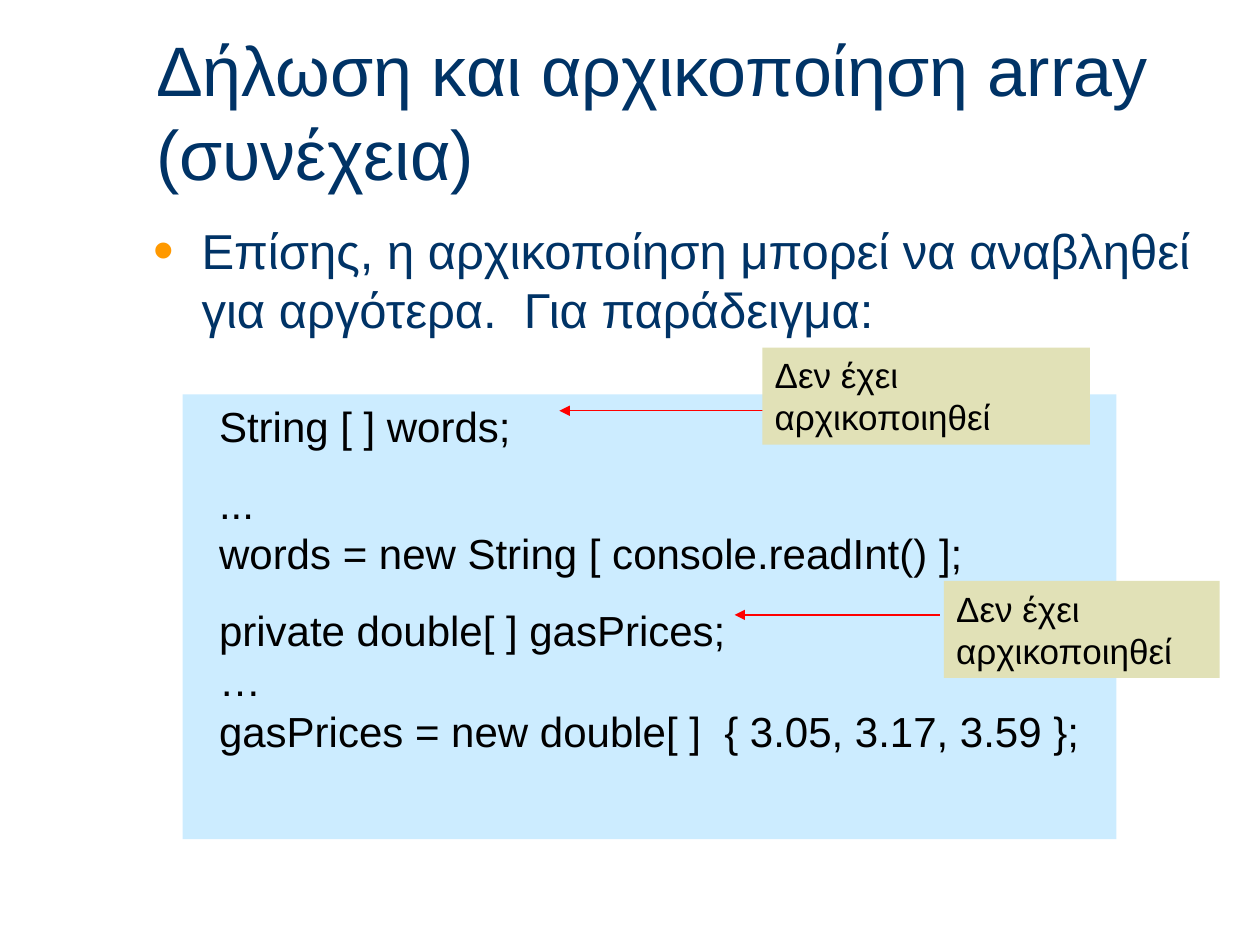
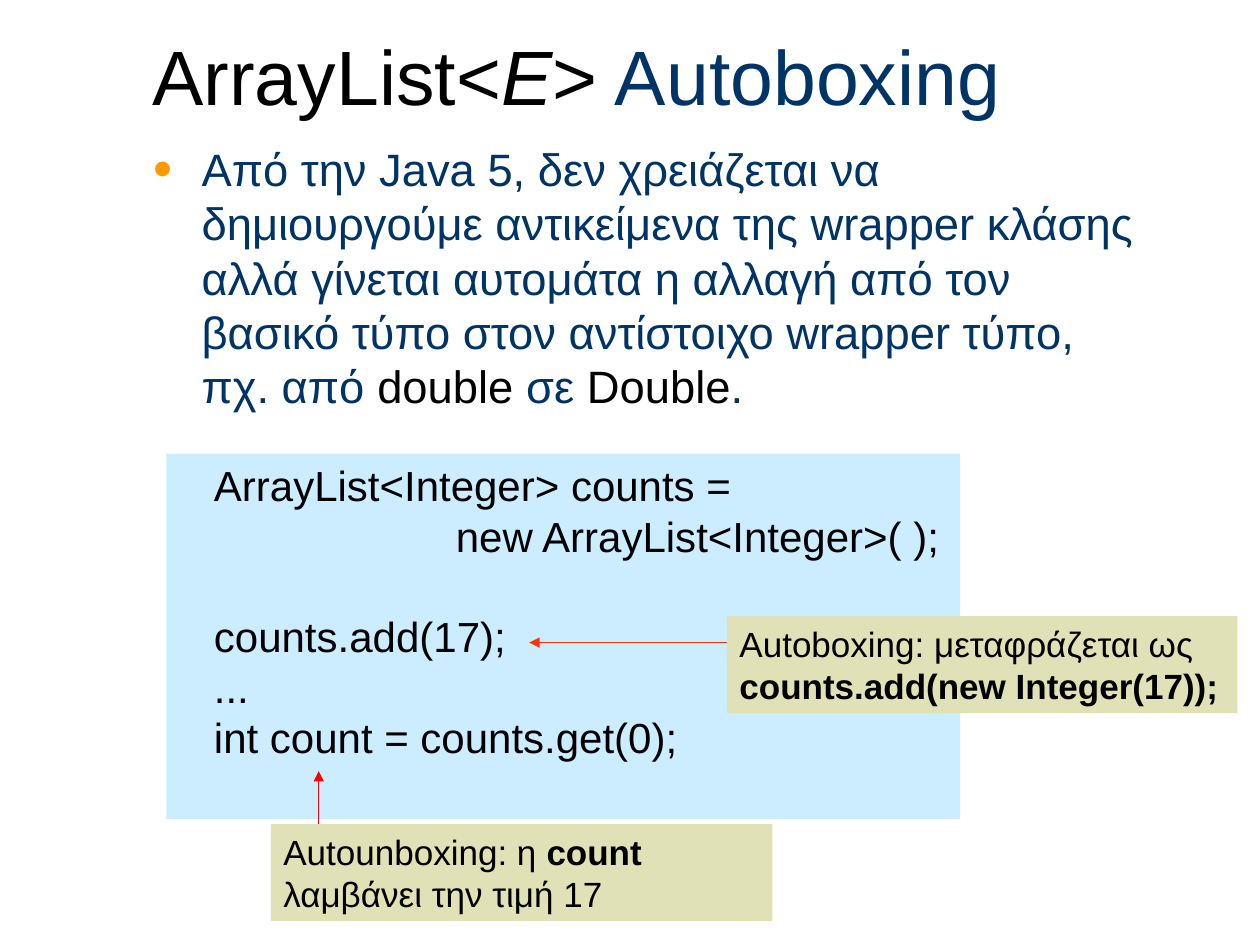
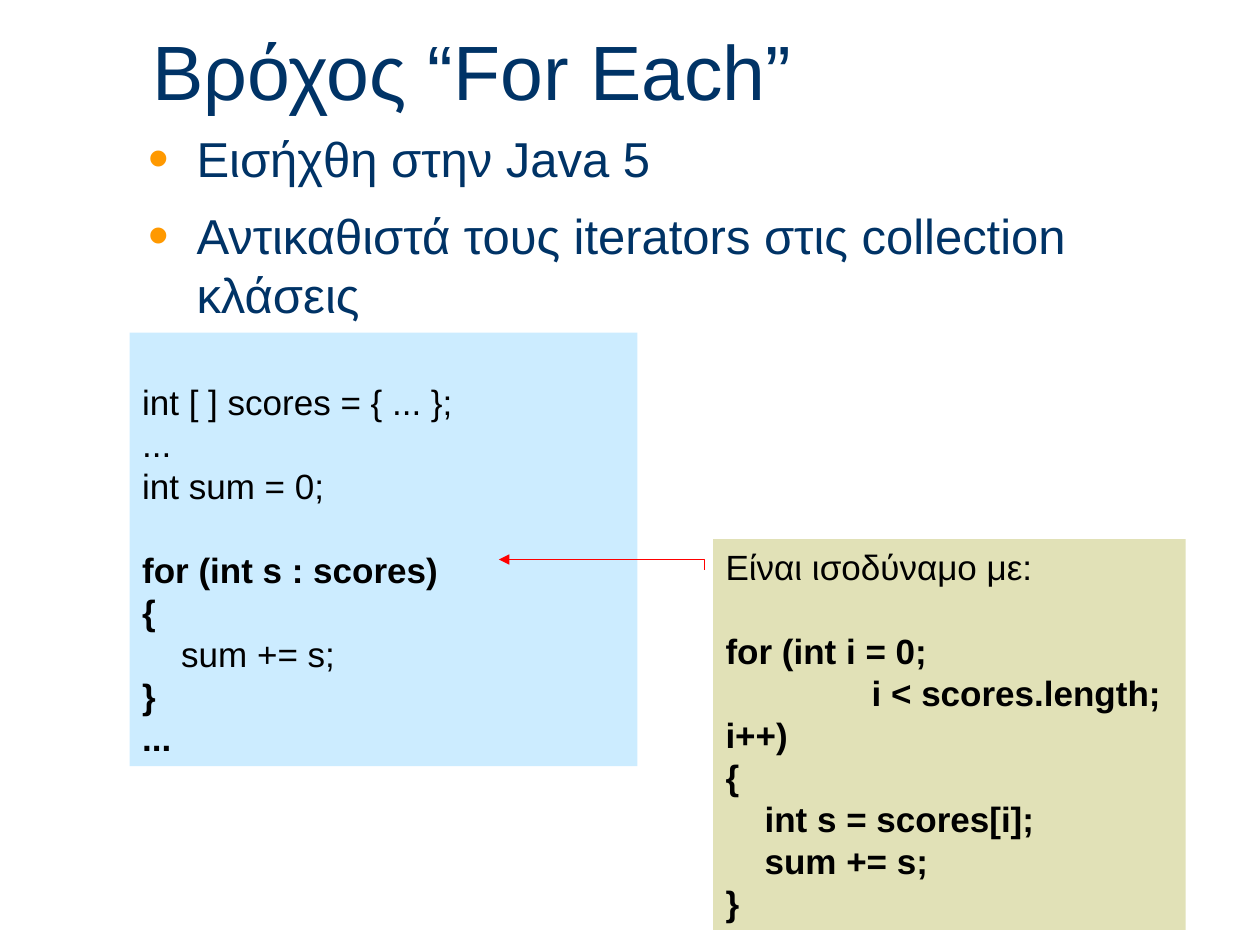
from dataclasses import dataclass

from lxml import etree
from pptx import Presentation
from pptx.dml.color import RGBColor
from pptx.enum.shapes import MSO_CONNECTOR, MSO_SHAPE
from pptx.enum.text import MSO_ANCHOR, MSO_AUTO_SIZE, PP_ALIGN
from pptx.oxml.ns import qn
from pptx.util import Inches, Pt

RECT = MSO_SHAPE.RECTANGLE
STRAIGHT = MSO_CONNECTOR.STRAIGHT
LEFT = PP_ALIGN.LEFT
TOP, MIDDLE = MSO_ANCHOR.TOP, MSO_ANCHOR.MIDDLE
NO_FIT = MSO_AUTO_SIZE.NONE


@dataclass(frozen=True)
class Theme:
    font: str = "Arial"
    navy: str = "003366"
    black: str = "000000"
    orange: str = "FF9900"
    sky: str = "CCECFF"
    sand: str = "E1E1B7"
    red: str = "FF0000"
    scarlet: str = "FF3300"
    title: float = 44
    long_title: float = 40
    body: float = 28
    dense_body: float = 25.9
    code: float = 24
    note: float = 20
    leading: float = 1.2
    hang: float = 0.38
    gap: float = 10.5
    stroke: float = 0.75


THEME = Theme()


@dataclass(frozen=True)
class Run:
    text: str
    bold: bool = False
    italic: bool = False
    color: str = ""


@dataclass(frozen=True)
class Line:
    runs: tuple
    margin: float = 0
    first: float = 0
    before: float = 0
    bold: bool = False


def line(*parts, **style):
    runs = tuple(Run(part) if isinstance(part, str) else part for part in parts)
    return Line(runs, **style)


def rgb(color):
    return RGBColor.from_string(color)


def add_tag(parent, tag, **attrs):
    return etree.SubElement(parent, qn(tag), attrs)


def write(frame, lines, size, color):
    frame.word_wrap = True
    frame.auto_size = NO_FIT
    for index, item in enumerate(lines):
        para = frame.paragraphs[0] if index == 0 else frame.add_paragraph()
        para.alignment = LEFT
        para.line_spacing = Pt(size * THEME.leading)
        para.space_before = Pt(item.before)
        font = para.font
        font.name, font.size, font.bold = THEME.font, Pt(size), item.bold
        font.color.rgb = rgb(color)
        props = para._p.get_or_add_pPr()
        props.set("marL", str(Inches(item.margin)))
        props.set("indent", str(Inches(item.first)))
        for part in item.runs:
            run = para.add_run()
            run.text = part.text
            if part.bold:
                run.font.bold = True
            if part.italic:
                run.font.italic = True
            if part.color:
                run.font.color.rgb = rgb(part.color)


def place(shape, box):
    shape.left, shape.top, shape.width, shape.height = map(Inches, box)


def add_title(slide, box, text, size=THEME.title):
    title = slide.shapes.title
    place(title, box)
    title.text_frame.vertical_anchor = MIDDLE
    write(title.text_frame, [text], size, THEME.navy)


def add_bullets(slide, box, items, size=THEME.body):
    body = slide.placeholders[1]
    place(body, box)
    lines = [
        Line(item.runs, margin=THEME.hang, first=-THEME.hang, before=THEME.gap)
        for item in items
    ]
    write(body.text_frame, lines, size, THEME.navy)
    for para in body.text_frame.paragraphs:
        props = para._p.get_or_add_pPr()
        marks = [etree.Element(qn(tag)) for tag in ("a:buClr", "a:buSzPct", "a:buChar")]
        add_tag(marks[0], "a:srgbClr", val=THEME.orange)
        marks[1].set("val", "120000")
        marks[2].set("char", "•")
        default = props.find(qn("a:defRPr"))
        for mark in marks:
            default.addprevious(mark)


def add_panel(slide, box, lines, fill, size, top=0.05):
    panel = slide.shapes.add_shape(RECT, *map(Inches, box))
    panel.shadow.inherit = False
    panel.fill.solid()
    panel.fill.fore_color.rgb = rgb(fill)
    panel.line.fill.background()
    frame = panel.text_frame
    frame.vertical_anchor = TOP
    frame.margin_top = Inches(top)
    write(frame, lines, size, THEME.black)


def add_code(slide, box, lines, size=THEME.code, top=0.05):
    add_panel(slide, box, lines, THEME.sky, size, top)


def add_note(slide, box, *lines):
    add_panel(slide, box, lines, THEME.sand, THEME.note)


def style_arrow(shape, color):
    shape.line.color.rgb = rgb(color)
    shape.line.width = Pt(THEME.stroke)
    add_tag(shape.line._get_or_add_ln(), "a:tailEnd", type="triangle")
    add_tag(shape._element.spPr, "a:effectLst")


def add_arrow(slide, start, end, color=THEME.red):
    arrow = slide.shapes.add_connector(STRAIGHT, *map(Inches, start + end))
    style_arrow(arrow, color)


def add_elbow(slide, *points):
    start, *rest = [tuple(map(Inches, point)) for point in points]
    outline = slide.shapes.build_freeform(*start)
    outline.add_line_segments(rest, close=False)
    elbow = outline.convert_to_shape()
    elbow.fill.background()
    style_arrow(elbow, THEME.red)


def build_array(slide):
    add_title(slide, (1.14, 0.29, 8.5, 1.18),
              line("Δήλωση και αρχικοποίηση array (συνέχεια)"), THEME.long_title)
    add_bullets(slide, (1.12, 1.7, 8.5, 1.19), [
        line("Επίσης, η αρχικοποίηση μπορεί να αναβληθεί για αργότερα.  Για παράδειγμα:"),
    ])
    steps = [
        ("String [ ] words;", 15),
        ("...", 15),
        ("words = new String [ console.readInt() ];", 0),
        ("private double[ ] gasPrices;", 15),
        ("…", 0),
        ("gasPrices = new double[ ]  { 3.05, 3.17, 3.59 };", 0),
    ]
    add_code(slide, (1.45, 3.13, 7.41, 3.53),
             [line(text, margin=0.19, before=gap) for text, gap in steps])
    unset = line("Δεν έχει αρχικοποιηθεί")
    add_arrow(slide, (6.71, 3.26), (4.44, 3.26))
    add_note(slide, (6.05, 2.76, 2.6, 0.77), unset)
    add_arrow(slide, (7.46, 4.88), (5.83, 4.88))
    add_note(slide, (7.49, 4.61, 2.19, 0.77), unset)


def build_boxing(slide):
    black = THEME.black
    add_title(slide, (1.11, 0.12, 8.5, 0.94), line(
        Run("ArrayList<", color=black), Run("E", italic=True, color=black),
        Run(">", color=black), " Autoboxing"))
    add_bullets(slide, (1.12, 1.07, 8.02, 2.4), [line(
        "Από την Java 5, δεν χρειάζεται να δημιουργούμε αντικείμενα της wrapper "
        "κλάσης αλλά γίνεται αυτομάτα η αλλαγή από τον βασικό τύπο στον "
        "αντίστοιχο wrapper τύπο, πχ. από ",
        Run("double", color=black), " σε ", Run("Double", color=black), ".",
    )], THEME.dense_body)
    indent = 0.28
    add_code(slide, (1.32, 3.6, 6.3, 2.9), [
        line("ArrayList<Integer> counts =", margin=indent),
        line("new ArrayList<Integer>( );", margin=2.2),
        line("counts.add(17);", margin=indent, before=THEME.code * THEME.leading),
        line("...", margin=indent),
        line("int count = counts.get(0);", margin=indent),
    ])
    add_arrow(slide, (7.13, 5.1), (4.2, 5.1), THEME.scarlet)
    add_note(slide, (5.77, 4.89, 4.05, 0.77),
             line("Autoboxing: μεταφράζεται ως"),
             line("counts.add(new Integer(17));", bold=True))
    add_arrow(slide, (2.53, 6.6), (2.53, 6.12))
    add_note(slide, (2.15, 6.54, 3.98, 0.77),
             line("Autounboxing: η ", Run("count", bold=True), " λαμβάνει την τιμή 17"))


def build_loop(slide):
    add_title(slide, (1.11, 0.15, 8.5, 0.8), line("Βρόχος “For Each”"))
    add_bullets(slide, (1.08, 0.97, 7.72, 1.74), [
        line("Εισήχθη στην Java 5"),
        line("Αντικαθιστά τους iterators στις collection κλάσεις"),
    ])
    indent = 0.31
    skip = THEME.note * THEME.leading
    add_code(slide, (1.03, 2.64, 4.03, 3.44), [
        line("int [ ] scores = { ... };"),
        line("..."),
        line("int sum = 0;"),
        line("for (int s : scores)", before=skip, bold=True),
        line("{", bold=True),
        line("sum += s;", margin=indent),
        line("}", bold=True),
        line("...", bold=True),
    ], THEME.note, top=0.38)
    add_elbow(slide, (5.59, 4.52), (5.59, 4.44), (3.96, 4.44))
    add_note(slide, (5.66, 4.28, 3.75, 3.1),
             line("Είναι ισοδύναμο με:"),
             line("for (int i = 0;", before=skip, bold=True),
             line("i < scores.length; i++)", first=1.16, bold=True),
             line("{", bold=True),
             line("int s = scores[i];", margin=indent, bold=True),
             line("sum += s;", margin=indent, bold=True),
             line("}", bold=True))


def main():
    deck = Presentation()
    deck.slide_width, deck.slide_height = Inches(10), Inches(7.5)
    for build in (build_array, build_boxing, build_loop):
        build(deck.slides.add_slide(deck.slide_layouts[1]))
    deck.save("out.pptx")


if __name__ == "__main__":
    main()
